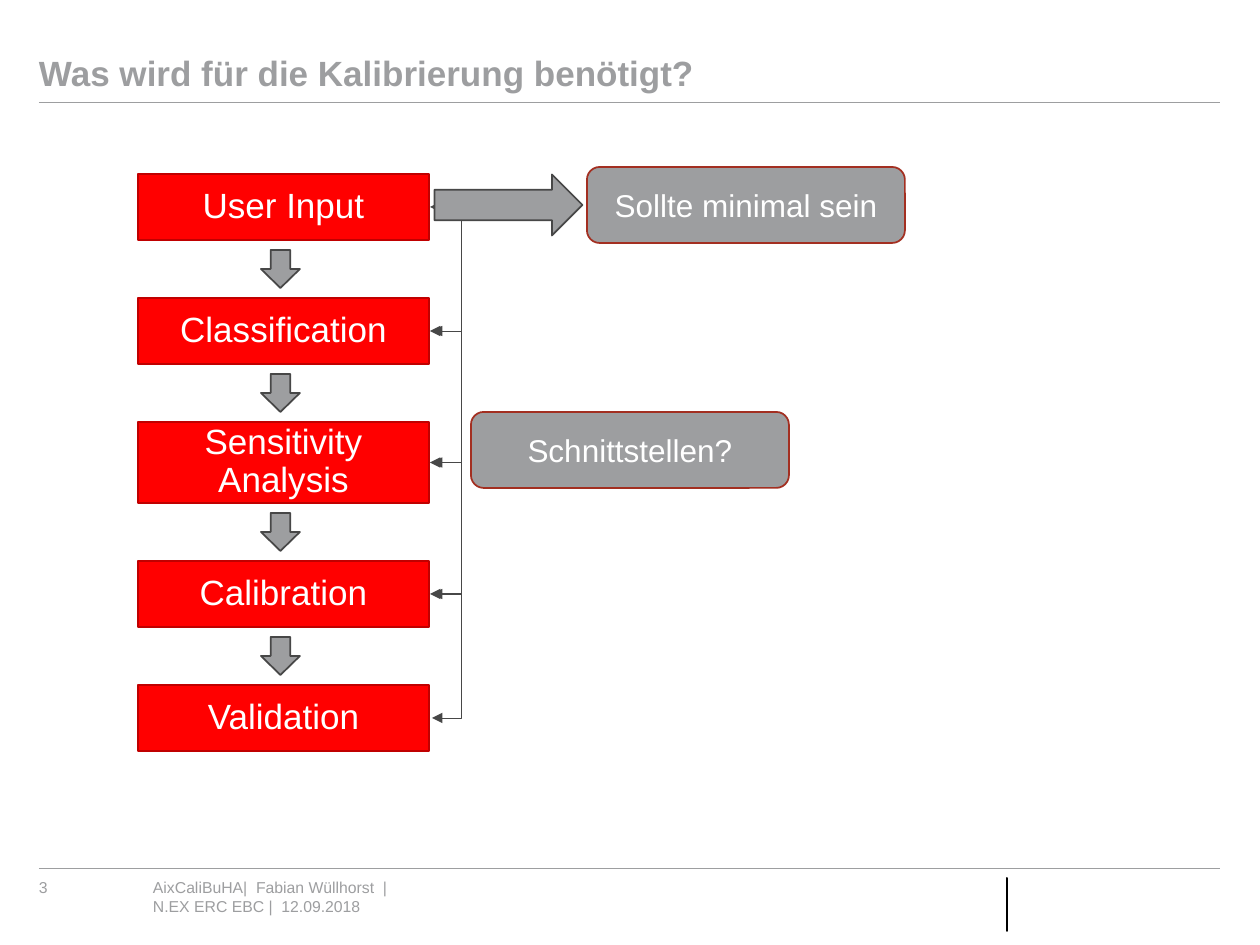
from lxml.etree import SubElement
from pptx import Presentation
from pptx.dml.color import RGBColor
from pptx.enum.shapes import MSO_CONNECTOR, MSO_SHAPE
from pptx.enum.text import MSO_ANCHOR, MSO_AUTO_SIZE, PP_ALIGN
from pptx.oxml.ns import qn
from pptx.util import Pt

PX = 914400 / 126  # EMU in one px
GRAY = RGBColor(0x9D, 0x9E, 0xA0)
DARK = RGBColor(0x47, 0x47, 0x47)
RED = RGBColor(0xFF, 0x00, 0x00)
WINE = RGBColor(0xC0, 0x00, 0x00)
RUST = RGBColor(0xA3, 0x2F, 0x21)
WHITE = RGBColor(0xFF, 0xFF, 0xFF)
BLACK = RGBColor(0x00, 0x00, 0x00)

STEPS = [("User Input", 66), ("Classification", 66), ("Sensitivity Analysis", 81),
         ("Calibration", 66), ("Validation", 66)]
GAP = 58


def emu(*sizes):
    return [round(size * PX) for size in sizes]


def assign(item, form):
    for name, value in form.items():
        setattr(item, name, value)


def write(shape, lines, size, color, bold=False, align=PP_ALIGN.LEFT,
          space=1.0, inset=(0, 0), anchor=MSO_ANCHOR.TOP):
    frame = shape.text_frame
    side, edge = emu(*inset)
    assign(frame, {"text": "\n".join(lines), "word_wrap": True,
                   "auto_size": MSO_AUTO_SIZE.NONE, "vertical_anchor": anchor,
                   "margin_left": side, "margin_right": side,
                   "margin_top": edge, "margin_bottom": edge})
    for para in frame.paragraphs:
        assign(para, {"alignment": align, "line_spacing": space})
        for run in para.runs:
            assign(run.font, {"name": "Arial", "size": Pt(size), "bold": bold})
            run.font.color.rgb = color


def block(slide, kind, box, fill, edge, width, turn=0):
    shape = slide.shapes.add_shape(kind, *emu(*box))
    shape.shadow.inherit = False
    shape.rotation = turn
    shape.fill.solid()
    shape.fill.fore_color.rgb = fill
    shape.line.color.rgb = edge
    shape.line.width = Pt(width)
    return shape


def link(slide, kind, start, end, color):
    line = slide.shapes.add_connector(kind, *emu(*start, *end))
    line.line.color.rgb = color
    line.line.width = Pt(0.5)
    SubElement(line._element.spPr, qn("a:effectLst"))
    return line


def rule(slide, left, top, width):
    link(slide, MSO_CONNECTOR.STRAIGHT, (left, top), (left + width, top), GRAY)


def bracket(slide, x, top, low, reach):
    """Two-headed elbow that bulges to the right by reach."""
    width = 2
    line = link(slide, MSO_CONNECTOR.ELBOW, (x, top), (x + width, low), DARK)
    props = line._element.spPr
    guides = props.find(qn("a:prstGeom")).get_or_add_avLst()
    SubElement(guides, qn("a:gd"), name="adj1",
               fmla=f"val {round(reach / width * 100000)}")
    stroke = props.find(qn("a:ln"))
    for tag in ("a:headEnd", "a:tailEnd"):
        SubElement(stroke, qn(tag), type="triangle")


def header(slide, left, top, width, height):
    title = slide.shapes.title
    assign(title, dict(zip(("left", "top", "width", "height"),
                           emu(left, top, width, height))))
    write(title, ["Was wird für die Kalibrierung benötigt?"], 20, GRAY, bold=True,
          space=0.9, anchor=MSO_ANCHOR.BOTTOM)
    rule(slide, left, top + height + 8, width)


def footer(slide, left, top, width):
    rule(slide, left, top, width)
    notes = [(0, 91, 19, ["3"]),
             (114, 372, 59, ["AixCaliBuHA|  Fabian Wüllhorst  |",
                             "N.EX ERC EBC |  12.09.2018"])]
    for x, wide, high, lines in notes:
        text = slide.shapes.add_textbox(*emu(left + x, top + 10, wide, high))
        write(text, lines, 9, GRAY)
    block(slide, MSO_SHAPE.RECTANGLE, (left + 968, top + 10, 0, 53),
          BLACK, BLACK, 0.75)


def flow(slide, left, top, width):
    # Step boxes
    tops, mids, y = [], [], top
    for name, high in STEPS:
        box = block(slide, MSO_SHAPE.RECTANGLE, (left, y, width, high),
                    RED, WINE, 0.75)
        write(box, [name], 20, WHITE, align=PP_ALIGN.CENTER, space=0.9,
              inset=(42, 24), anchor=MSO_ANCHOR.MIDDLE)
        tops.append(y)
        mids.append(y + high / 2)
        y += high + GAP
    # Brackets between neighbours
    for mid, low in zip(mids, mids[1:]):
        bracket(slide, left + width + 1, mid, low, 32)
    # Down arrows centred in the gaps
    for y in tops[1:]:
        block(slide, MSO_SHAPE.DOWN_ARROW,
              (left + 123, y - GAP / 2 - 19, 39, 38), GRAY, DARK, 1)


def callout(slide, left, top, width, height, text):
    box = block(slide, MSO_SHAPE.ROUNDED_RECTANGLE, (left, top, width, height),
                GRAY, RUST, 1)
    write(box, [text], 18, WHITE, align=PP_ALIGN.CENTER, inset=(13, 6),
          anchor=MSO_ANCHOR.MIDDLE)


def main():
    deck = Presentation()
    deck.slide_width, deck.slide_height = emu(1260, 945)
    slide = deck.slides.add_slide(deck.slide_layouts[5])
    header(slide, 39, 20, 1181, 74)
    footer(slide, 39, 868, 1181)
    flow(slide, 138, 174, 291)
    callout(slide, 471, 412, 318, 76, "Schnittstellen?")
    callout(slide, 587, 167, 318, 76, "Sollte minimal sein")
    # Wide arrow to the upper callout, turned to point right
    block(slide, MSO_SHAPE.DOWN_ARROW, (478, 131, 61, 148), GRAY, DARK, 1, turn=270)
    deck.save("out.pptx")


if __name__ == "__main__":
    main()
